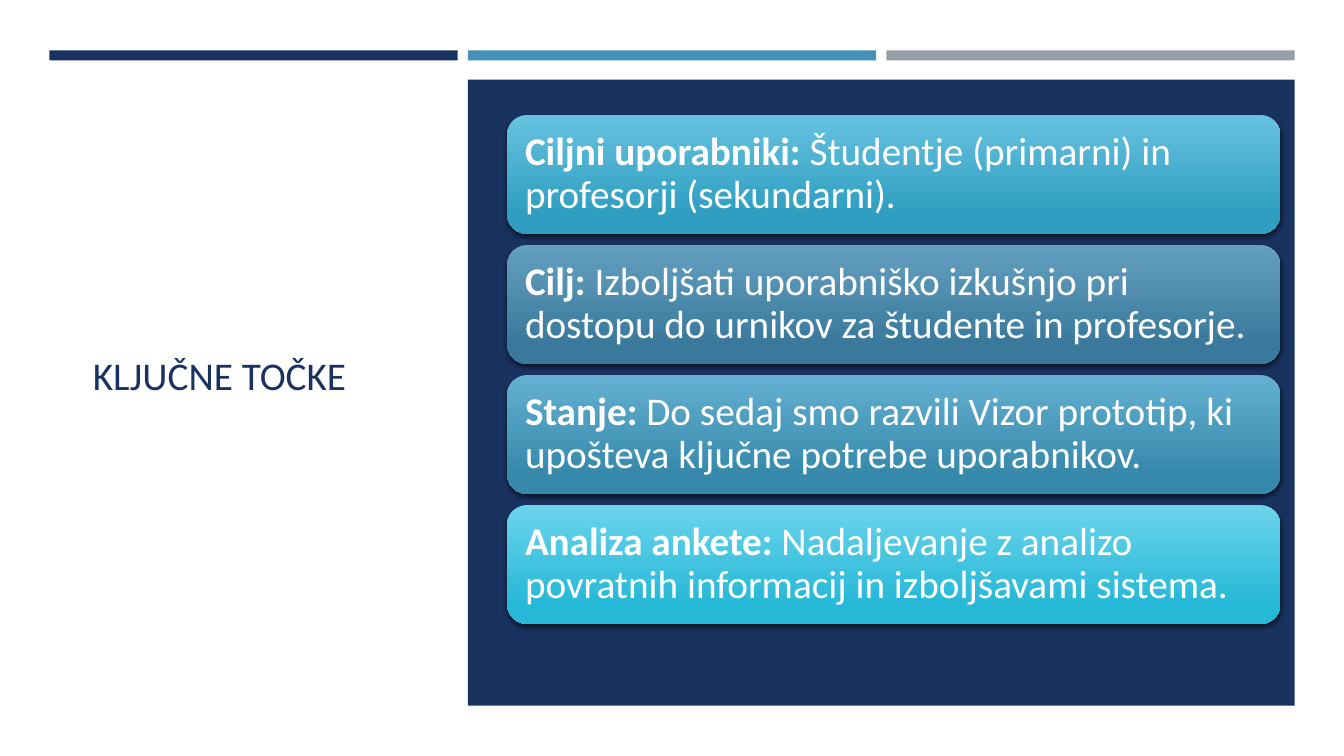
import pptx
import pptx.util
import pptx.dml.color
import pptx.enum.shapes
import pptx.enum.text
import pptx.oxml
import pptx.oxml.ns
from dataclasses import dataclass

Inches = pptx.util.Inches
Shapes = pptx.enum.shapes.MSO_SHAPE
Text = pptx.enum.text

TITLE = "KLJUČNE TOČKE"
KEY_POINTS = [
    ("Ciljni uporabniki:", " Študentje (primarni) in profesorji (sekundarni).", ("66C2E0", "2F9EC0")),
    ("Cilj:", " Izboljšati uporabniško izkušnjo pri dostopu do urnikov za študente in profesorje.", ("639FC1", "3A799B")),
    ("Stanje:", " Do sedaj smo razvili Vizor prototip, ki upošteva ključne potrebe uporabnikov.", ("63B0D2", "3789AB")),
    ("Analiza ankete:", " Nadaljevanje z analizo povratnih informacij in izboljšavami sistema.", ("6BD4EC", "26B8D7")),
]


@dataclass(frozen=True)
class Theme:
    font: str = "Calibri"
    size: int = 28
    white: str = "FFFFFF"
    navy: str = "1A3260"
    blue: str = "4590B8"
    gray: str = "969FA7"


THEME = Theme()
BAR_LEFT, BAR_TOP, BAR_WIDTH, BAR_HEIGHT, BAR_PITCH = 0.49, 0.5, 4.05, 0.1, 4.15
CARD_LEFT, CARD_TOP, CARD_WIDTH, CARD_HEIGHT, CARD_PITCH = 5.03, 1.14, 7.67, 1.18, 1.29
CARD_INSET = 0.12
SHADOW = (
    '<a:outerShdw xmlns:a="http://schemas.openxmlformats.org/drawingml/2006/main" '
    'blurRad="38100" dist="25400" dir="5400000" rotWithShape="0">'
    '<a:srgbClr val="000000"><a:alpha val="55000"/></a:srgbClr></a:outerShdw>'
)


def rgb(color):
    return pptx.dml.color.RGBColor.from_string(color)


def add_run(paragraph, wording, color, bold=False):
    run = paragraph.add_run()
    run.text = wording
    run.font.name = THEME.font
    run.font.size = pptx.util.Pt(THEME.size)
    run.font.bold = bold
    run.font.color.rgb = rgb(color)


def add_block(slide, kind, left, top, width, height):
    block = slide.shapes.add_shape(kind, Inches(left), Inches(top), Inches(width), Inches(height))
    block.shadow.inherit = False
    block.line.fill.background()
    return block


def add_panel(slide, left, top, width, height, color):
    panel = add_block(slide, Shapes.RECTANGLE, left, top, width, height)
    panel.fill.solid()
    panel.fill.fore_color.rgb = rgb(color)


def add_title(slide):
    title = slide.shapes.title
    title.left, title.top, title.width, title.height = map(Inches, (0.82, 1.14, 3.34, 5.15))
    title.text_frame.vertical_anchor = Text.MSO_ANCHOR.MIDDLE
    paragraph = title.text_frame.paragraphs[0]
    paragraph.alignment = Text.PP_ALIGN.LEFT
    add_run(paragraph, TITLE, THEME.navy)


def add_card(slide, top, label, detail, shades):
    card = add_block(slide, Shapes.ROUNDED_RECTANGLE, CARD_LEFT, top, CARD_WIDTH, CARD_HEIGHT)
    card.fill.gradient()
    card.fill.gradient_angle = 270
    for stop, shade, position in zip(card.fill.gradient_stops, shades, (0, 0.84)):
        stop.color.rgb = rgb(shade)
        stop.position = position
    effects = card.element.spPr.find(pptx.oxml.ns.qn("a:effectLst"))
    effects.append(pptx.oxml.parse_xml(SHADOW))

    frame = card.text_frame
    frame.word_wrap = True
    frame.vertical_anchor = Text.MSO_ANCHOR.MIDDLE
    frame.margin_left = frame.margin_right = Inches(CARD_INSET)
    frame.margin_top = frame.margin_bottom = Inches(CARD_INSET)
    paragraph = frame.paragraphs[0]
    paragraph.alignment = Text.PP_ALIGN.LEFT
    paragraph.line_spacing = 0.9
    add_run(paragraph, label, THEME.white, bold=True)
    add_run(paragraph, detail, THEME.white)


def main():
    deck = pptx.Presentation()
    deck.slide_width, deck.slide_height = Inches(13.33), Inches(7.5)
    slide = deck.slides.add_slide(deck.slide_layouts.get_by_name("Title Only"))
    slide.background.fill.solid()
    slide.background.fill.fore_color.rgb = rgb(THEME.white)

    add_title(slide)
    for column, color in enumerate((THEME.navy, THEME.blue, THEME.gray)):
        add_panel(slide, BAR_LEFT + column * BAR_PITCH, BAR_TOP, BAR_WIDTH, BAR_HEIGHT, color)
    add_panel(slide, BAR_LEFT + BAR_PITCH, 0.79, BAR_PITCH + BAR_WIDTH, 6.21, THEME.navy)
    for row, (label, detail, shades) in enumerate(KEY_POINTS):
        add_card(slide, CARD_TOP + row * CARD_PITCH, label, detail, shades)

    deck.save("out.pptx")


if __name__ == "__main__":
    main()
